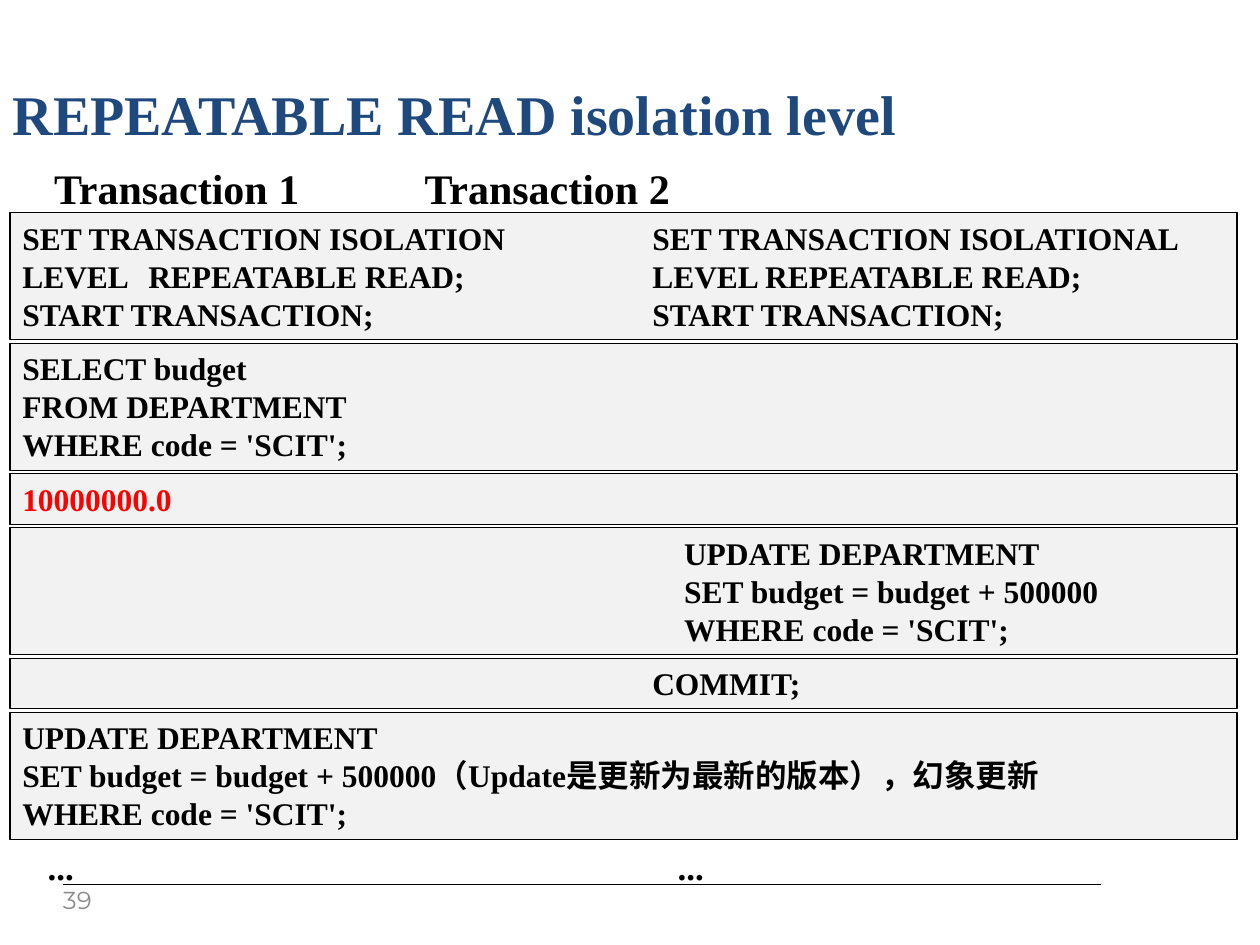
import pptx
import pptx.dml.color
import pptx.enum.shapes
import pptx.enum.text
import pptx.oxml.ns
import pptx.util
from lxml import etree
from pptx.util import Cm

SERIF = "Times New Roman"
BLACK, RED, BLUE, GREY, PALE = "000000", "FF0000", "1F497D", "8B8B8B", "F2F2F2"
ANCHOR = pptx.enum.text.MSO_ANCHOR

# Steps of the schedule are stacked downwards
STEP_LEFT, STEP_WIDTH, FIRST_TOP = 0.2, 24.74, 4.29
LINE_HEIGHT, PADDING, GAP = 0.77, 0.25, 0.07
SECOND_COLUMN = 12.7

# Each step: lines, text colour, left indent (cm)
STEPS = [
    (["SET TRANSACTION ISOLATION", "LEVEL\tREPEATABLE READ;",
      "START TRANSACTION;"], BLACK, 0),
    (["SELECT budget", "FROM DEPARTMENT", "WHERE code = 'SCIT';"], BLACK, 0),
    (["10000000.0"], RED, 0),
    (["UPDATE DEPARTMENT", "SET budget = budget + 500000",
      "WHERE code = 'SCIT';"], BLACK, 13.34),
    (["COMMIT;"], BLACK, SECOND_COLUMN),
    (["UPDATE DEPARTMENT",
      "SET budget = budget + 500000（Update是更新为最新的版本），幻象更新",
      "WHERE code = 'SCIT';"], BLACK, 0),
]

# The second transaction opens beside the first one
SECOND_OPENING = ["SET TRANSACTION ISOLATIONAL", "LEVEL REPEATABLE READ;",
                  "START TRANSACTION;"]


def rgb(value):
    return pptx.dml.color.RGBColor.from_string(value)


def write_lines(frame, lines, size, color, font=SERIF, bold=True,
                anchor=ANCHOR.TOP, indent=0):
    frame.word_wrap = True
    frame.vertical_anchor = anchor
    for index, line in enumerate(lines):
        para = frame.add_paragraph() if index else frame.paragraphs[0]
        para.alignment = pptx.enum.text.PP_ALIGN.LEFT
        properties = para._p.get_or_add_pPr()
        properties.set("marL", str(Cm(indent)))
        properties.set("indent", "0")
        span = para.add_run()
        span.text = line
        span.font.name = font
        span.font.size = pptx.util.Pt(size)
        span.font.bold = bold
        span.font.color.rgb = rgb(color)


def add_title(page, text):
    title = page.shapes.title
    title.left, title.top, title.width, title.height = Cm(0), Cm(1.44), Cm(25.4), Cm(1.7)
    write_lines(title.text_frame, [text], 32, BLUE, anchor=ANCHOR.MIDDLE)


def add_text(page, left, top, width, height, lines, size):
    box = page.shapes.add_textbox(Cm(left), Cm(top), Cm(width), Cm(height))
    write_lines(box.text_frame, lines, size, BLACK)


def step_height(lines):
    return PADDING + LINE_HEIGHT * len(lines)


def add_step(page, top, lines, color, indent):
    box = page.shapes.add_shape(pptx.enum.shapes.MSO_SHAPE.RECTANGLE, Cm(STEP_LEFT),
                                Cm(top), Cm(STEP_WIDTH), Cm(step_height(lines)))
    box.shadow.inherit = False
    box.fill.solid()
    box.fill.fore_color.rgb = rgb(PALE)
    box.line.color.rgb = rgb(BLACK)
    box.line.width = pptx.util.Pt(0.75)
    write_lines(box.text_frame, lines, 18, color, indent=indent)


def add_footer(page, number):
    rule = page.shapes.add_connector(pptx.enum.shapes.MSO_CONNECTOR.STRAIGHT,
                                     Cm(1.27), Cm(17.83), Cm(22.2), Cm(17.83))
    rule.line.color.rgb = rgb(BLACK)
    rule.line.width = pptx.util.Pt(0.75)
    etree.SubElement(rule._element.spPr, pptx.oxml.ns.qn("a:effectLst"))
    box = page.shapes.add_textbox(Cm(1.27), Cm(17.93), Cm(1.02), Cm(0.53))
    frame = box.text_frame
    frame.margin_left = frame.margin_top = 0
    write_lines(frame, [number], 14, GREY, "Montserrat", False, ANCHOR.MIDDLE)


def main():
    deck = pptx.Presentation()
    deck.slide_width, deck.slide_height = Cm(25.4), Cm(19.05)
    page = deck.slides.add_slide(deck.slide_layouts[5])

    # Footer, title and column headings
    add_footer(page, "39")
    add_title(page, "REPEATABLE READ isolation level")
    for left, heading in ((0.84, "Transaction 1"), (8.31, "Transaction 2")):
        add_text(page, left, 3.15, 7.2, 1.27, [heading], 24)

    # Schedule of both transactions
    top = FIRST_TOP
    for lines, color, indent in STEPS:
        add_step(page, top, lines, color, indent)
        top += step_height(lines) + GAP
    add_text(page, STEP_LEFT + SECOND_COLUMN, FIRST_TOP, STEP_WIDTH - SECOND_COLUMN,
             step_height(SECOND_OPENING), SECOND_OPENING, 18)

    # Continuation marks
    for column in (0, SECOND_COLUMN):
        add_text(page, 0.71 + column, 16.92, 3, 1.09, ["..."], 20)
    deck.save("out.pptx")


if __name__ == "__main__":
    main()
